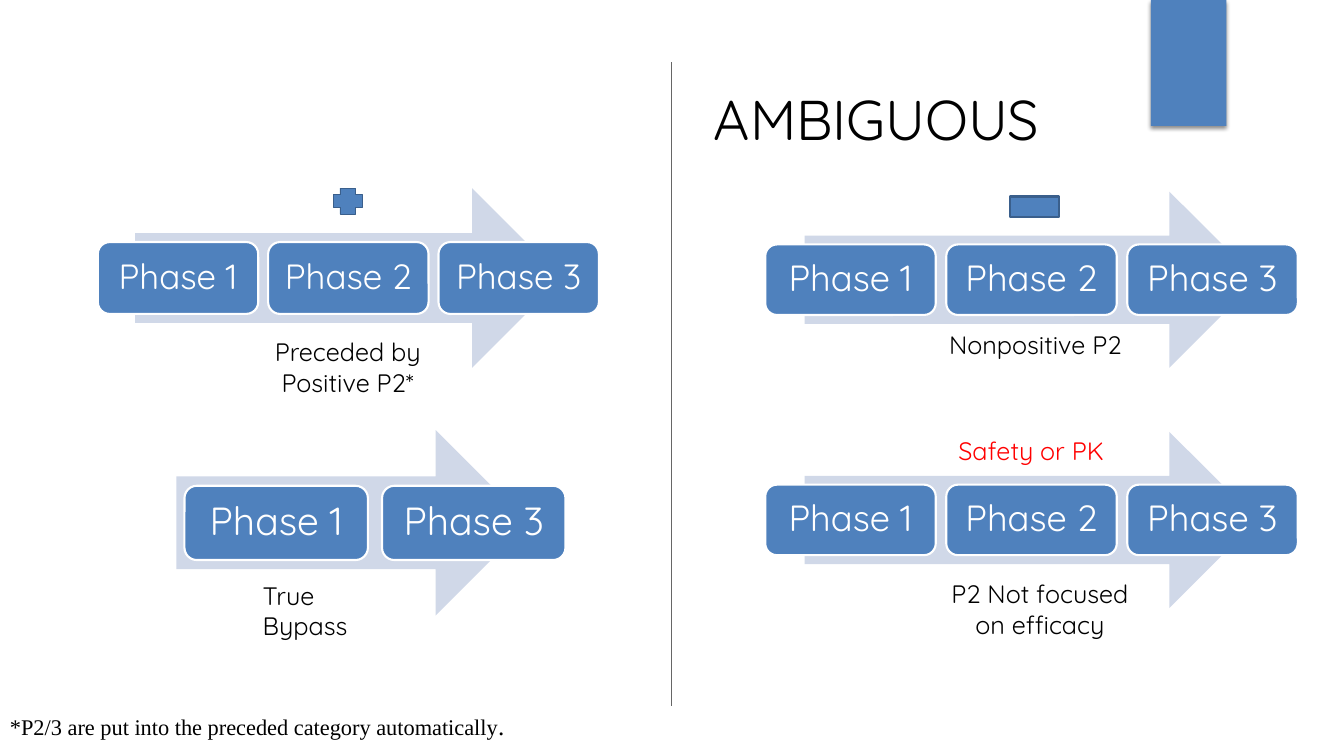
from lxml import etree
from pptx import Presentation
from pptx import util as u
from pptx.dml.color import RGBColor
from pptx.enum import shapes, text
from pptx.oxml.ns import qn

COLS, ROWS = 160, 90
W, H = u.Inches(13.333), u.Inches(7.5)
BLUE = RGBColor(0x4F, 0x81, 0xBD)
EDGE = RGBColor(0x3A, 0x5F, 0x8C)
PALE = RGBColor(0xD0, 0xD8, 0xE8)
GREY = RGBColor(0x66, 0x66, 0x66)
RED = RGBColor(0xFF, 0, 0)
BLACK = RGBColor(0, 0, 0)
WHITE = RGBColor(0xFF, 0xFF, 0xFF)
SANS, SERIF = "Quicksand", "Times New Roman"
G = shapes.MSO_SHAPE
A = text.PP_ALIGN


def col(n):
    return round(W * n / COLS)


def row(n):
    return round(H * n / ROWS)


def box(left, top, width, height):
    return col(left), row(top), col(width), row(height)


def set_all(obj, **values):
    for name, value in values.items():
        setattr(obj, name, value)


def add_run(p, words, size, color=BLACK, font=SANS):
    r = p.add_run()
    r.text = words
    set_all(r.font, size=u.Pt(size), name=font)
    r.font.color.rgb = color


def add_figure(parent, kind, area, fill, line=None, width=1.5):
    sp = parent.add_shape(kind, *box(*area))
    sp.shadow.inherit = False
    sp.fill.solid()
    sp.fill.fore_color.rgb = fill
    if line is None:
        sp.line.fill.background()
    else:
        sp.line.color.rgb = line
        sp.line.width = u.Pt(width)
    return sp


def add_tab(s):
    sp = add_figure(s.shapes, G.RECTANGLE, (137, 0, 9, 15), BLUE)
    effects = sp._element.spPr.find(qn("a:effectLst"))
    shadow = etree.SubElement(effects, qn("a:outerShdw"), blurRad=str(u.Pt(3)),
                              dist=str(u.Pt(2)), dir="5400000", rotWithShape="0")
    tint = etree.SubElement(shadow, qn("a:srgbClr"), val="000000")
    etree.SubElement(tint, qn("a:alpha"), val="45000")


def add_phases(s, arrow, first, width, pitch, size, numbers):
    group = s.shapes.add_group_shape().shapes
    add_figure(group, G.RIGHT_ARROW, arrow, PALE)
    top, height = arrow[1] + 0.3 * arrow[3], 0.4 * arrow[3]
    for i, number in enumerate(numbers):
        area = (first + i * pitch, top, width, height)
        sp = add_figure(group, G.ROUNDED_RECTANGLE, area, BLUE, WHITE)
        tf = sp.text_frame
        set_all(tf, word_wrap=False, vertical_anchor=text.MSO_ANCHOR.MIDDLE,
                margin_left=0, margin_right=0, margin_top=0, margin_bottom=0)
        p = tf.paragraphs[0]
        set_all(p, alignment=A.CENTER, line_spacing=0.9)
        add_run(p, f"Phase {number}", size, WHITE)


def add_label(s, area, words, align=A.LEFT, size=18, color=BLACK, font=SANS):
    tf = s.shapes.add_textbox(*box(*area)).text_frame
    tf.word_wrap = True
    p = tf.paragraphs[0]
    p.alignment = align
    add_run(p, words, size, color, font)
    return p


def add_title(s, area, words):
    title = s.shapes.title
    left, top, width, height = box(*area)
    set_all(title, left=left, top=top, width=width, height=height)
    tf = title.text_frame
    set_all(tf, word_wrap=True, auto_size=text.MSO_AUTO_SIZE.NONE,
            vertical_anchor=text.MSO_ANCHOR.TOP)
    p = tf.paragraphs[0]
    p.alignment = A.LEFT
    add_run(p, words, 40)


def add_divider(s, x, top, bottom):
    line = s.shapes.add_connector(shapes.MSO_CONNECTOR.STRAIGHT,
                                  col(x), row(top), col(x), row(bottom))
    line.line.color.rgb = GREY
    line.line.width = u.Pt(0.75)
    etree.SubElement(line._element.spPr, qn("a:effectLst"))


def main():
    prs = Presentation()
    set_all(prs, slide_width=W, slide_height=H)
    s = prs.slides.add_slide(prs.slide_layouts[5])

    add_tab(s)
    add_title(s, (83.8, 9.5, 43.7, 9.2), "AMBIGUOUS")

    add_phases(s, (16.1, 22.4, 50.8, 21.4), 11.64, 19.1, 20.28, 25, (1, 2, 3))
    add_phases(s, (21, 51.2, 41.9, 22.1), 21.96, 21.84, 23.52, 28, (1, 3))
    for top in (22.8, 51.4):
        add_phases(s, (95.8, top, 53.9, 21), 91.1, 20.3, 21.55, 26, (1, 2, 3))

    add_figure(s.shapes, G.CROSS, (39.7, 22.4, 3.4, 3.1), BLUE, EDGE, 0.5)
    add_figure(s.shapes, G.RECTANGLE, (120.2, 23.4, 5.9, 2.4), BLUE, EDGE)

    add_label(s, (28.4, 39.5, 26, 8.5), "Preceded by Positive P2*", A.CENTER)
    add_label(s, (30.1, 68.5, 15.6, 8.5), "True Bypass")
    add_label(s, (111.8, 38.6, 24, 4.8), "Nonpositive P2")
    add_label(s, (112.9, 51.2, 20.5, 4.8), "Safety or PK", color=RED)
    add_label(s, (110.8, 68.3, 26, 8.5), "P2 Not focused on efficacy", A.CENTER)

    add_divider(s, 80, 7.4, 84)
    note = add_label(s, (0, 84, 63, 4.8),
                     "*P2/3 are put into the preceded category automatically",
                     size=16, font=SERIF)
    add_run(note, ".", 18, font=SERIF)
    prs.save("out.pptx")


if __name__ == "__main__":
    main()
